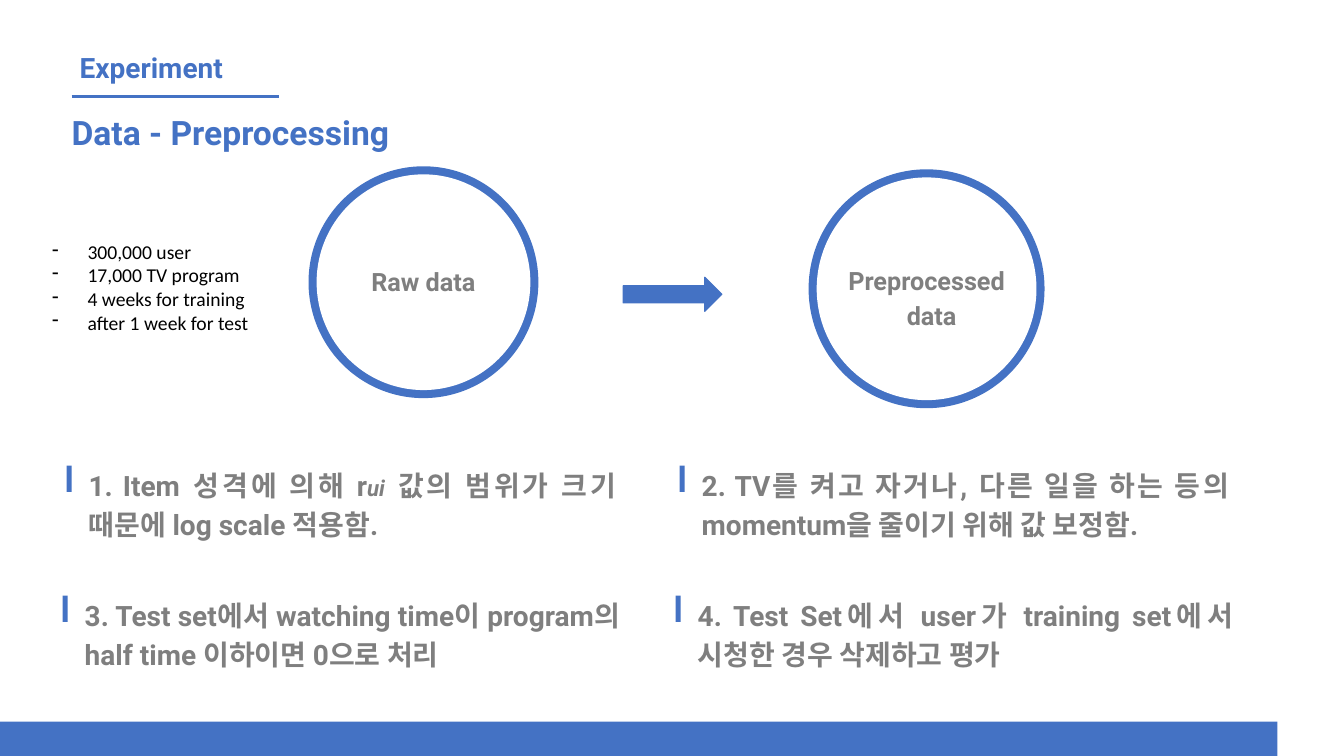
from pptx import Presentation
from pptx.dml.color import RGBColor
from pptx.enum.shapes import MSO_CONNECTOR, MSO_SHAPE
from pptx.enum.text import MSO_ANCHOR, MSO_AUTO_SIZE, PP_ALIGN
from pptx.oxml.ns import qn
from pptx.util import Inches, Pt
from lxml.etree import SubElement

BLUE, GRAY, BLACK, WHITE = "4472C4", "7F7F7F", "000000", "FFFFFF"
TIGHT = (0.05, 0.02, 0.05, 0.02)

HEADINGS = [
    ("Experiment", 20, (0.79, 0.5, 1.84, 0.34)),
    ("Data - Preprocessing", 24, (0.71, 1.11, 6.01, 0.46)),
]
RINGS = [
    ("Raw data", (3.06, 1.65, 2.28, 2.3), (3.28, 2.59, 1.84, 0.35)),
    ("Preprocessed data", (8.02, 1.68, 2.34, 2.37), (8.25, 2.58, 1.88, 0.7)),
]
FACTS = ["300,000 user", "17,000 TV program", "4 weeks for training", "after 1 week for test"]
STEP_ROWS = [
    (0.66, 4.62, 5.33, [
        [("1. Item 성격에 의해 r", 20, False), ("ui", 16, True),
         (" 값의 범위가 크기 때문에 log scale 적용함.", 20, False)],
        [("2. TV를 켜고 자거나, 다른 일을 하는 등의 momentum을 줄이기 위해 값 보정함.", 20, False)],
    ]),
    (0.62, 5.91, 5.41, [
        [("3. Test set에서 watching time이 program의 half time 이하이면 0으로 처리", 20, False)],
        [("4. Test Set에서 user가 training set에서 시청한 경우 삭제하고 평가", 20, False)],
    ]),
]
STEP_PITCH = 6.08
RING_WIDTH = 0.08


def color(value):
    return RGBColor.from_string(value)


def add_solid(shapes, kind, place, fill, line=None):
    shape = shapes.add_shape(kind, *map(Inches, place))
    shape.shadow.inherit = False
    shape.fill.solid()
    shape.fill.fore_color.rgb = color(fill)
    if line:
        shape.line.color.rgb = color(line)
        shape.line.width = Pt(0.75)
    else:
        shape.line.fill.background()
    return shape


def add_box(shapes, place, insets, grow=False):
    box = shapes.add_textbox(*map(Inches, place))
    frame = box.text_frame
    frame.word_wrap = True
    frame.auto_size = MSO_AUTO_SIZE.SHAPE_TO_FIT_TEXT if grow else MSO_AUTO_SIZE.NONE
    (frame.margin_left, frame.margin_top,
     frame.margin_right, frame.margin_bottom) = map(Inches, insets)
    return frame


def add_span(para, text, size, fill, font="Roboto", bold=True, italic=False):
    span = para.add_run()
    span.text = text
    span.font.name = font
    span.font.size = Pt(size)
    span.font.bold = bold
    span.font.italic = italic
    span.font.color.rgb = color(fill)


def indent(para, left, first):
    props = para._p.get_or_add_pPr()
    props.set("marL", str(Inches(left)))
    props.set("indent", str(Inches(first)))
    return props


def add_ring(page, label, place, label_place):
    shapes = page.shapes.add_group_shape().shapes
    disc = add_solid(shapes, MSO_SHAPE.PIE, place, BLUE)
    disc.adjustments[0], disc.adjustments[1] = 162.23, 162.2
    left, top, width, height = place
    add_solid(shapes, MSO_SHAPE.OVAL,
              (left + RING_WIDTH, top + RING_WIDTH,
               width - 2 * RING_WIDTH, height - 2 * RING_WIDTH), WHITE)
    frame = add_box(shapes, label_place, TIGHT, grow=True)
    frame.vertical_anchor = MSO_ANCHOR.MIDDLE
    para = frame.paragraphs[0]
    para.alignment = PP_ALIGN.CENTER
    para.line_spacing = 1.15
    indent(para, 0.1, -0.1)
    add_span(para, label, 18, GRAY)


def add_step(page, left, top, width, spans):
    shapes = page.shapes.add_group_shape().shapes
    frame = add_box(shapes, (left + 0.17, top - 0.04, width, 0.99), TIGHT)
    para = frame.paragraphs[0]
    para.alignment = PP_ALIGN.JUSTIFY
    para.line_spacing = 1.15
    for text, size, italic in spans:
        add_span(para, text, size, GRAY, italic=italic)
    add_solid(shapes, MSO_SHAPE.RECTANGLE, (left, top, 0.05, 0.26), BLUE)


def add_facts(page):
    frame = add_box(page.shapes, (0.27, 2.28, 2.34, 1.14), (0.1, 0.1, 0.1, 0.1), grow=True)
    for index, fact in enumerate(FACTS):
        para = frame.add_paragraph() if index else frame.paragraphs[0]
        props = indent(para, 0.5, -0.35)
        bullet_color = SubElement(props, qn("a:buClr"))
        SubElement(bullet_color, qn("a:srgbClr")).set("val", BLACK)
        SubElement(props, qn("a:buChar")).set("char", "-")
        add_span(para, fact, 14, BLACK, font="Calibri", bold=False)


def main():
    deck = Presentation()
    deck.slide_width, deck.slide_height = Inches(13.33), Inches(7.5)
    page = deck.slides.add_slide(deck.slide_layouts[6])

    add_solid(page.shapes, MSO_SHAPE.RECTANGLE, (0, 7.16, 12.67, 0.34), BLUE)
    rule = page.shapes.add_connector(
        MSO_CONNECTOR.STRAIGHT, *map(Inches, (0.71, 0.96, 2.77, 0.96)))
    rule.line.color.rgb = color(BLUE)
    rule.line.width = Pt(2.25)
    SubElement(rule._element.spPr, qn("a:effectLst"))

    for text, size, place in HEADINGS:
        frame = add_box(page.shapes, place, (0, 0, 0, 0))
        add_span(frame.paragraphs[0], text, size, BLUE)
    for ring in RINGS:
        add_ring(page, *ring)
    add_solid(page.shapes, MSO_SHAPE.RIGHT_ARROW, (6.18, 2.75, 0.98, 0.34), BLUE, BLUE)
    add_facts(page)
    for left, top, width, steps in STEP_ROWS:
        for column, spans in enumerate(steps):
            add_step(page, left + column * STEP_PITCH, top, width, spans)

    deck.save("out.pptx")


if __name__ == "__main__":
    main()
